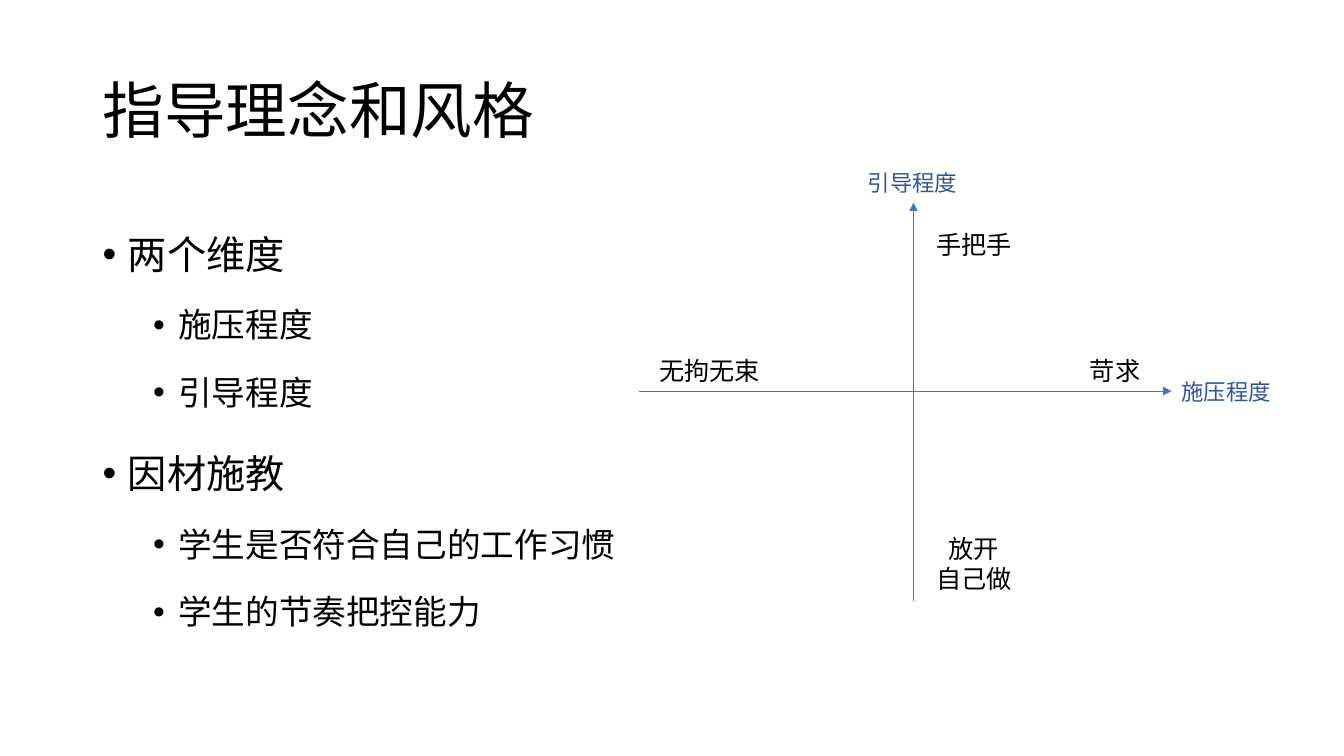
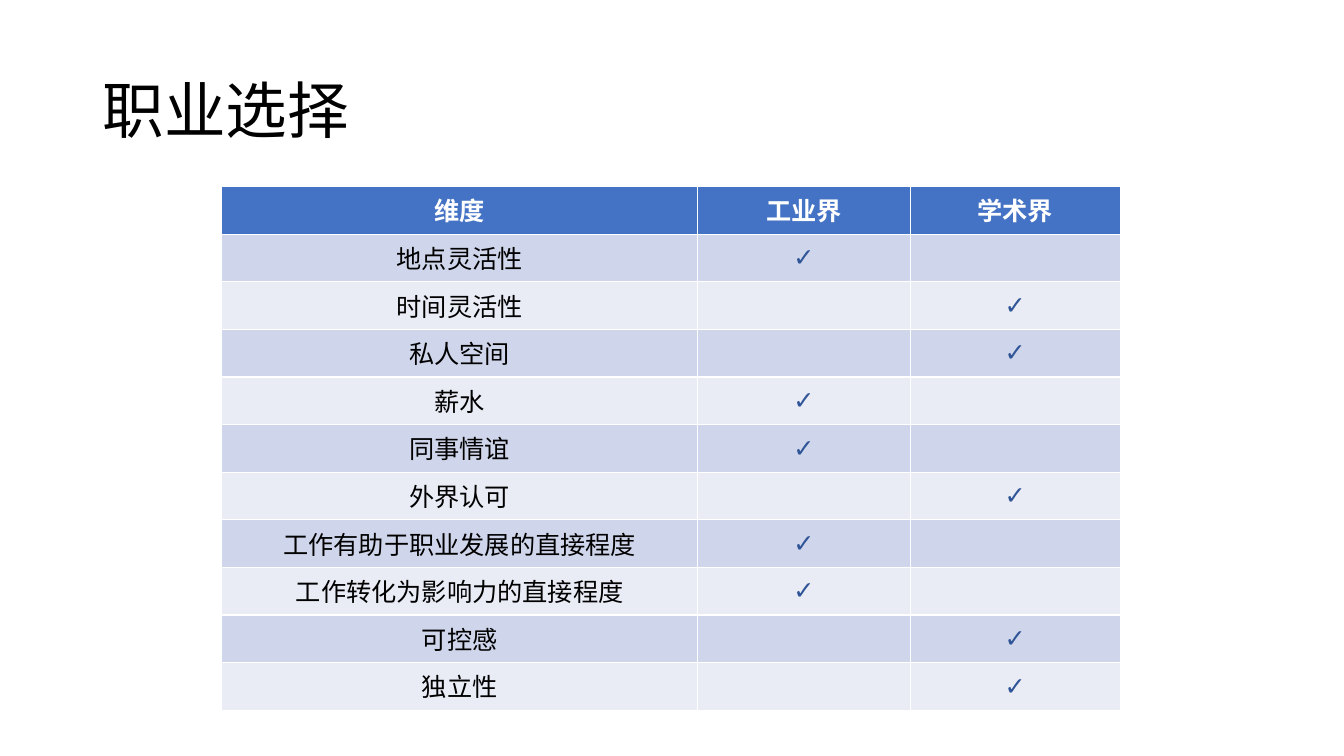
from lxml import etree
from pptx import Presentation
from pptx.dml.color import RGBColor
from pptx.enum.shapes import MSO_CONNECTOR
from pptx.enum.text import MSO_ANCHOR, PP_ALIGN
from pptx.oxml.ns import qn
from pptx.util import Inches, Pt

LEFT, CENTER = PP_ALIGN.LEFT, PP_ALIGN.CENTER
TOP, MIDDLE = MSO_ANCHOR.TOP, MSO_ANCHOR.MIDDLE
STRAIGHT = MSO_CONNECTOR.STRAIGHT
FONT = "Calibri"
COLORS = {
    "text": "000000",
    "white": "FFFFFF",
    "accent": "4472C4",
    "label": "2F5597",
    "band_dark": "CFD5EA",
    "band_light": "E9EBF5",
}


def style_paragraph(para, size, color="text", bold=False, align=LEFT):
    para.alignment = align
    para.font.name = FONT
    para.font.size = Pt(size)
    para.font.bold = bold
    para.font.color.rgb = RGBColor.from_string(COLORS[color])


def add_text(page, at, lines, size, color="text", align=LEFT, anchor=TOP):
    """Add a wrapping text box with one paragraph per line; return its paragraphs."""
    box = page.shapes.add_textbox(*(Inches(value) for value in at))
    frame = box.text_frame
    frame.word_wrap = True
    frame.vertical_anchor = anchor
    frame.text = "\n".join(lines)
    for para in frame.paragraphs:
        style_paragraph(para, size, color, align=align)
    return frame.paragraphs


deck = Presentation()
deck.slide_width, deck.slide_height = Inches(13.33), Inches(7.5)

pages = []
for title in ("指导理念和风格", "职业选择"):
    page = deck.slides.add_slide(deck.slide_layouts[6])
    heading = add_text(page, (0.92, 0.4, 11.5, 1.45), [title], 44, anchor=MIDDLE)
    heading[0].line_spacing = 0.9
    pages.append(page)
style_page, career_page = pages

# Bulleted outline: (level, text)
OUTLINE = [
    (0, "两个维度"),
    (1, "施压程度"),
    (1, "引导程度"),
    (0, "因材施教"),
    (1, "学生是否符合自己的工作习惯"),
    (1, "学生的节奏把控能力"),
]
LEVELS = [  # left margin, text size, space before
    (0.25, 28, 10),
    (0.75, 24, 5),
]
paragraphs = add_text(style_page, (0.92, 2, 5.42, 4.76), [text for _, text in OUTLINE], 28)
for index, (para, (level, _)) in enumerate(zip(paragraphs, OUTLINE)):
    margin, size, space = LEVELS[level]
    para.level = level
    para.line_spacing = 1.5
    para.space_before = Pt(space if index else 0)
    para.font.size = Pt(size)
    properties = para._p.get_or_add_pPr()
    properties.set("marL", str(Inches(margin)))
    properties.set("indent", str(Inches(-0.25)))
    etree.SubElement(properties, qn("a:buFont")).set("typeface", "Arial")
    etree.SubElement(properties, qn("a:buChar")).set("char", "•")
    # The schema puts default run properties after the bullet
    properties.append(properties.find(qn("a:defRPr")))

# Axes of the two dimensions
AXES = [(9.06, 5.96, 9.06, 2.01), (6.34, 3.88, 11.62, 3.88)]
for ends in AXES:
    axis = style_page.shapes.add_connector(STRAIGHT, *(Inches(value) for value in ends))
    axis.line.color.rgb = RGBColor.from_string(COLORS["accent"])
    axis.line.width = Pt(0.5)
    etree.SubElement(axis.line._get_or_add_ln(), qn("a:tailEnd")).set("type", "triangle")
    etree.SubElement(axis._element.spPr, qn("a:effectLst"))

EXTREMES = [  # left, top, height, lines
    (10.38, 3.48, 0.4, ["苛求"]),
    (6.36, 3.48, 0.4, ["无拘无束"]),
    (8.98, 2.23, 0.4, ["手把手"]),
    (8.98, 5.24, 0.71, ["放开", "自己做"]),
]
for left, top, height, lines in EXTREMES:
    add_text(style_page, (left, top, 1.36, height), lines, 18, align=CENTER)

for left, top, name in [(11.62, 3.7, "施压程度"), (8.51, 1.63, "引导程度")]:
    add_text(style_page, (left, top, 1.29, 0.37), [name], 16, "label")

# Career comparison
HEADERS = ["维度", "工业界", "学术界"]
INDUSTRY, ACADEMIA = 1, 2
CRITERIA = [  # criterion, column with the check mark
    ("地点灵活性", INDUSTRY),
    ("时间灵活性", ACADEMIA),
    ("私人空间", ACADEMIA),
    ("薪水", INDUSTRY),
    ("同事情谊", INDUSTRY),
    ("外界认可", ACADEMIA),
    ("工作有助于职业发展的直接程度", INDUSTRY),
    ("工作转化为影响力的直接程度", INDUSTRY),
    ("可控感", ACADEMIA),
    ("独立性", ACADEMIA),
]
rows = [HEADERS]
for criterion, winner in CRITERIA:
    rows.append([criterion] + ["✓" if column == winner else "" for column in (INDUSTRY, ACADEMIA)])

table = career_page.shapes.add_table(
    len(rows), len(HEADERS), Inches(2.2), Inches(1.85), Inches(8.91), Inches(5.2)
).table
for column, width in zip(table.columns, (4.72, 2.11, 2.08)):
    column.width = Inches(width)

for row_index, row in enumerate(rows):
    is_header = row_index == 0
    band = "accent" if is_header else ("band_light", "band_dark")[row_index % 2]
    for column_index, text in enumerate(row):
        is_mark = not is_header and column_index > 0
        cell = table.cell(row_index, column_index)
        cell.fill.solid()
        cell.fill.fore_color.rgb = RGBColor.from_string(COLORS[band])
        cell.vertical_anchor = MIDDLE if is_mark else TOP
        cell.text = text
        color = "white" if is_header else "label" if is_mark else "text"
        style_paragraph(cell.text_frame.paragraphs[0], 18, color, is_header or is_mark, CENTER)

deck.save("out.pptx")
